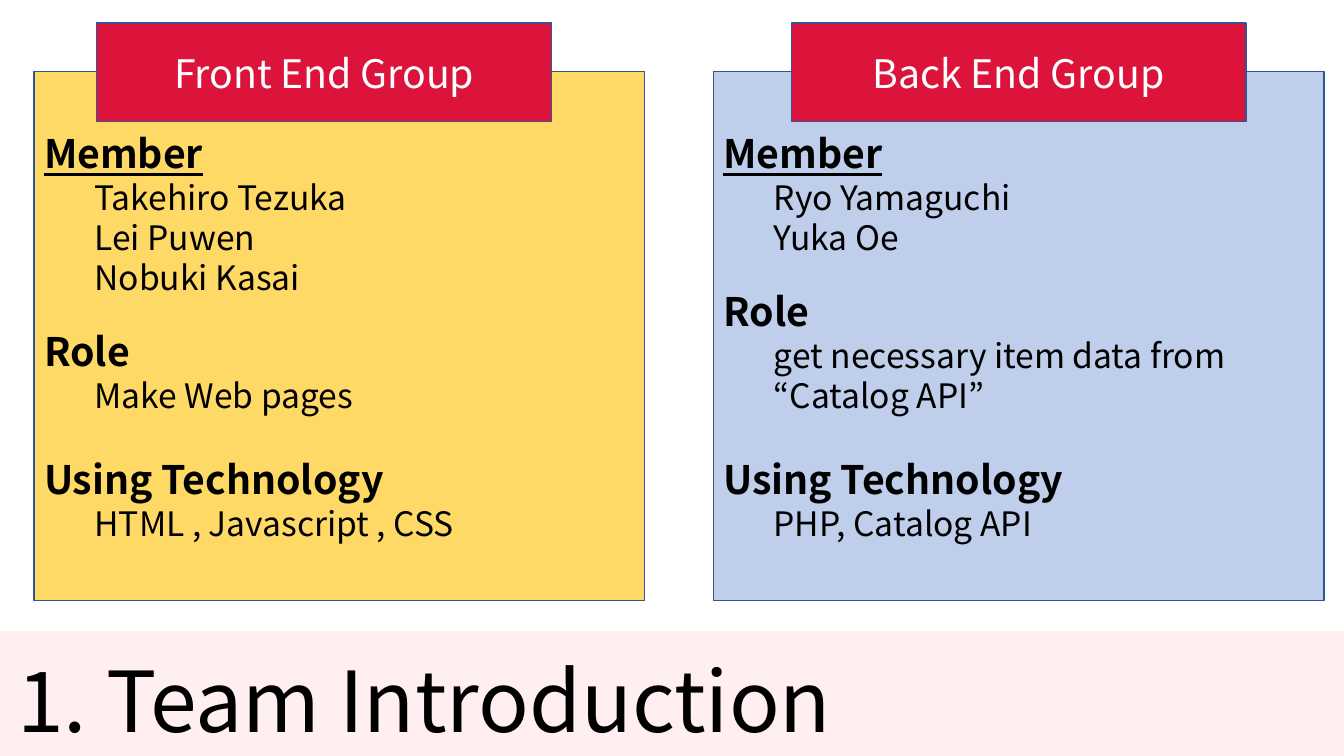
from lxml.etree import SubElement
from pptx import Presentation
from pptx.dml.color import RGBColor
from pptx.enum.shapes import MSO_SHAPE
from pptx.enum.text import MSO_ANCHOR, MSO_AUTO_SIZE, PP_ALIGN
from pptx.oxml.ns import qn
from pptx.util import Cm, Pt

FONT = "Noto Sans CJK JP"
TITLE = "1. Team Introduction"
GROUPS = [
    {
        "name": "Front End Group", "left": 0.86, "tab": 2.44,
        "fill": "FFD966", "alpha": 100,
        "parts": [
            ("Member", ["Takehiro Tezuka", "Lei Puwen", "Nobuki Kasai"]),
            ("Role", ["Make Web pages"]),
            ("Using Technology", ["HTML , Javascript , CSS"]),
        ],
    },
    {
        "name": "Back End Group", "left": 17.98, "tab": 19.94,
        "fill": "4472C4", "alpha": 34,
        "parts": [
            ("Member", ["Ryo Yamaguchi", "Yuka Oe"]),
            ("Role", ["get necessary item data from “Catalog API”"]),
            ("Using Technology", ["PHP, Catalog API"]),
        ],
    },
]
GAPS = [0, 21.6, 28.8]


def color(code):
    return RGBColor.from_string(code)


def add_box(slide, area, fill, line=None, alpha=100):
    box = slide.shapes.add_shape(MSO_SHAPE.RECTANGLE, *map(Cm, area))
    box.shadow.inherit = False
    box.fill.solid()
    box.fill.fore_color.rgb = color(fill)
    if alpha < 100:
        tone = box.fill._xPr.find(qn("a:solidFill"))[0]
        SubElement(tone, qn("a:alpha")).set("val", str(alpha * 1000))
    if line:
        box.line.color.rgb = color(line)
        box.line.width = Pt(1)
    else:
        box.line.fill.background()
    box.text_frame.word_wrap = True
    box.text_frame.vertical_anchor = MSO_ANCHOR.MIDDLE
    return box


def style(para, size, code="000000", bold=False, under=False):
    for run in para.runs:
        font = run.font
        font.name = FONT
        font.size = Pt(size)
        font.color.rgb = color(code)
        font.bold = bold
        font.underline = under


def add_parts(frame, parts):
    para = frame.paragraphs[0]
    for num, (head, items) in enumerate(parts):
        if num:
            para = frame.add_paragraph()
        para.text = head
        para.alignment = PP_ALIGN.LEFT
        para.space_before = Pt(GAPS[num])
        style(para, 28, bold=True, under=num == 0)
        for item in items:
            para = frame.add_paragraph()
            para.text = item
            para.level = 1
            para.alignment = PP_ALIGN.LEFT
            props = para._p.get_or_add_pPr()
            props.set("marL", str(Cm(1.27)))
            props.set("indent", "0")
            style(para, 24)


def add_group(slide, group):
    panel = add_box(slide, (group["left"], 1.8, 15.39, 13.34),
                    group["fill"], "325491", group["alpha"])
    add_parts(panel.text_frame, group["parts"])
    tab = add_box(slide, (group["tab"], 0.58, 11.46, 2.49), "DC143C", "325491")
    tab.text_frame.text = group["name"]
    para = tab.text_frame.paragraphs[0]
    para.alignment = PP_ALIGN.CENTER
    style(para, 28, "FFFFFF")


def add_title(slide):
    band = add_box(slide, (0, 15.9, 33.87, 3.15), "FF9199", alpha=14)
    slide.shapes._spTree.insert(2, band._element)
    title = slide.shapes.title
    title.left, title.top, title.width, title.height = map(
        Cm, (0.18, 16.08, 29.21, 2.97))
    frame = title.text_frame
    frame.text = TITLE
    frame.word_wrap = True
    frame.auto_size = MSO_AUTO_SIZE.NONE
    frame.vertical_anchor = MSO_ANCHOR.BOTTOM
    para = frame.paragraphs[0]
    para.alignment = PP_ALIGN.LEFT
    para.line_spacing = 0.9
    style(para, 60)


def main():
    deck = Presentation()
    deck.slide_width, deck.slide_height = Cm(33.87), Cm(19.05)
    slide = deck.slides.add_slide(deck.slide_layouts[5])
    add_title(slide)
    for group in GROUPS:
        add_group(slide, group)
    deck.save("out.pptx")


if __name__ == "__main__":
    main()
